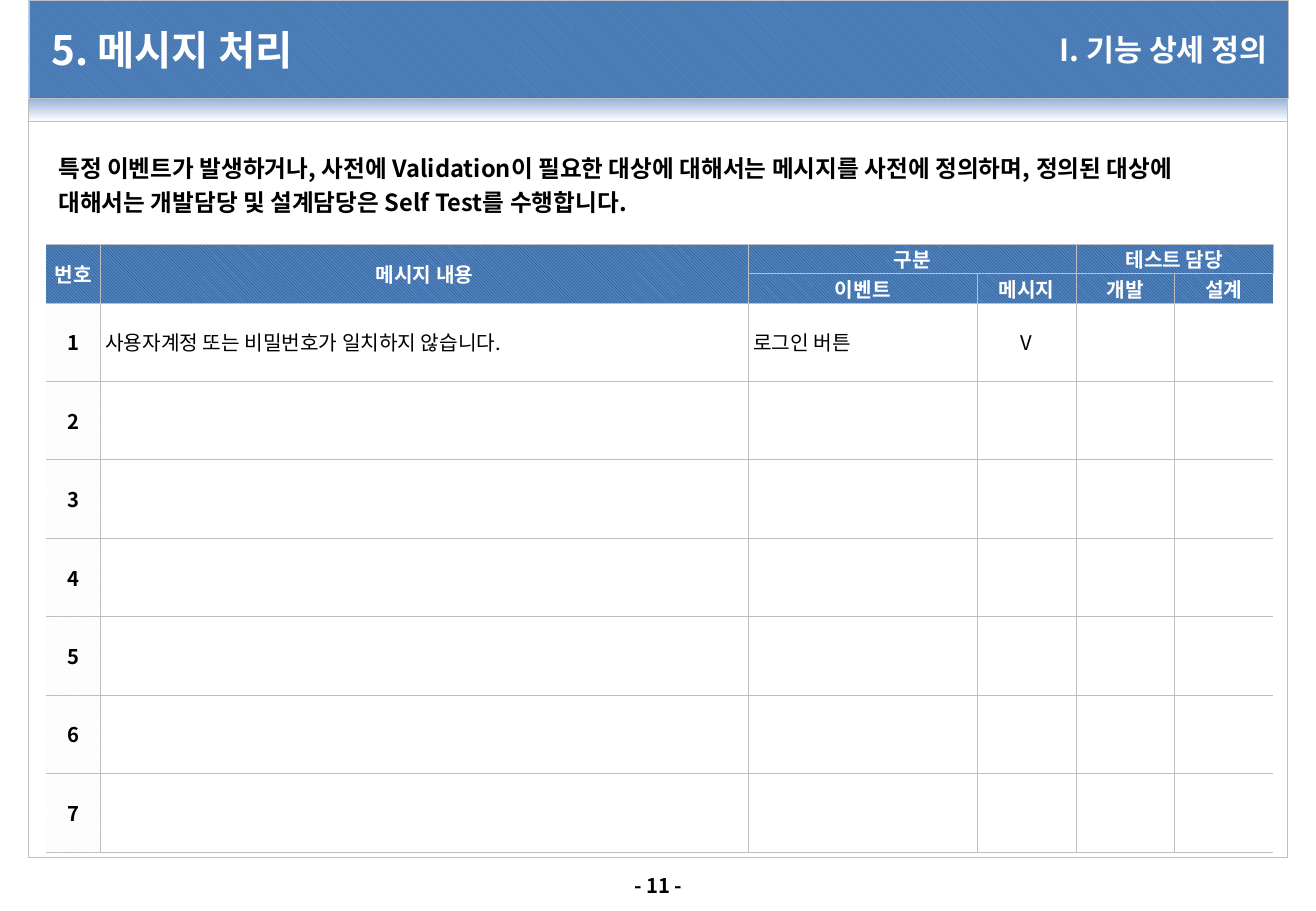
from dataclasses import dataclass
from lxml import etree
from pptx import Presentation
from pptx.dml.color import RGBColor
from pptx.enum.dml import MSO_LINE, MSO_PATTERN
from pptx.enum.shapes import MSO_SHAPE
from pptx.enum.text import MSO_ANCHOR, PP_ALIGN
from pptx.oxml.ns import qn
from pptx.util import Cm, Pt


@dataclass(frozen=True)
class Theme:
    font: str = "Noto Sans CJK KR"
    white: str = "FFFFFF"
    black: str = "000000"
    grid: str = "BFBFBF"
    glow: str = "95B3D7"
    banner: tuple = ("376092", "4F81BD")
    header: tuple = ("1F497D", "4F81BD")
    number: tuple = ("F2F2F2", "FFFFFF")
    title_size: int = 24
    section_size: int = 18
    lead_size: int = 14
    table_size: int = 12
    hairline: float = 0.25


THEME = Theme()
TITLE = "5. 메시지 처리"
SECTION = "I. 기능 상세 정의"
LEAD = ("특정 이벤트가 발생하거나, 사전에 Validation이 필요한 대상에 대해서는 메시지를 사전에 정의하며, "
        "정의된 대상에 대해서는 개발담당 및 설계담당은 Self Test를 수행합니다.")
PAGE = "- 11 -"
HEADERS = [
    ["번호", "메시지 내용", "구분", "", "테스트 담당", ""],
    ["", "", "이벤트", "메시지", "개발", "설계"],
]
MERGES = [((0, 0), (1, 0)), ((0, 1), (1, 1)), ((0, 2), (0, 3)), ((0, 4), (0, 5))]
MESSAGES = [("사용자계정 또는 비밀번호가 일치하지 않습니다.", "로그인 버튼", "V", "", "")]
MESSAGE_ROWS = 7
COLUMN_WIDTHS = [1.13, 13.55, 4.78, 2.06, 2.06, 2.06]
HEADER_HEIGHT, MESSAGE_HEIGHT = 0.61, 1.64
LEFT_ALIGNED = (1, 2)

FRAME_LEFT, FRAME_WIDTH = 0.6, 26.32
BANNER_HEIGHT, GLOW_HEIGHT, BODY_HEIGHT = 2.06, 0.48, 15.38
CONTENT_LEFT, CONTENT_WIDTH = 0.97, 25.63
HEADING_TOP, HEADING_HEIGHT, TITLE_WIDTH = 0.2, 1.68, 17
LEAD_TOP, TABLE_TOP = 2.95, 5.11
INSET = 0.1


def color(value):
    return RGBColor.from_string(value)


def paint(fill, value):
    if isinstance(value, tuple):
        fill.patterned()
        fill.pattern = MSO_PATTERN.LIGHT_DOWNWARD_DIAGONAL
        fill.fore_color.rgb, fill.back_color.rgb = map(color, value)
    else:
        fill.solid()
        fill.fore_color.rgb = color(value)


def write(frame, text, size, ink, bold=True, align=PP_ALIGN.LEFT):
    paragraph = frame.paragraphs[0]
    paragraph.alignment = align
    run = paragraph.add_run()
    run.text = text
    font = run.font
    font.name, font.size, font.bold = THEME.font, Pt(size), bold
    font.color.rgb = color(ink)
    latin = run.font.fill and run._r.rPr.find(qn("a:latin"))
    east_asian = etree.Element(qn("a:ea"), typeface=THEME.font)
    latin.addnext(east_asian)
    return paragraph


def place(shape, left, top, width, height):
    shape.left, shape.top, shape.width, shape.height = map(Cm, (left, top, width, height))


def panel(top, height, fill):
    shape = slide.shapes.add_shape(
        MSO_SHAPE.RECTANGLE, Cm(FRAME_LEFT), Cm(top), Cm(FRAME_WIDTH), Cm(height))
    shape.shadow.inherit = False
    paint(shape.fill, fill)
    shape.line.color.rgb = color(THEME.grid)
    shape.line.width = Pt(THEME.hairline)
    shape.line.dash_style = MSO_LINE.ROUND_DOT
    return shape


def text_box(left, top, width, height):
    box = slide.shapes.add_textbox(Cm(left), Cm(top), Cm(width), Cm(height))
    box.text_frame.word_wrap = True
    return box


def heading(shape, text, size, align):
    frame = shape.text_frame
    frame.word_wrap = True
    frame.vertical_anchor = MSO_ANCHOR.MIDDLE
    frame.margin_left = frame.margin_right = frame.margin_top = frame.margin_bottom = Cm(INSET)
    write(frame, text, size, THEME.white, align=align)


def outline(cell, sides):
    properties = cell._tc.get_or_add_tcPr()
    for position, side in enumerate("LRTB"):
        visible = side in sides
        line = etree.Element(qn(f"a:ln{side}"), w=str(Pt(THEME.hairline) if visible else 0))
        if visible:
            fill = etree.SubElement(line, qn("a:solidFill"))
            etree.SubElement(fill, qn("a:srgbClr"), val=THEME.grid)
        else:
            etree.SubElement(line, qn("a:noFill"))
        properties.insert(position, line)


def fill_cell(cell, row, column, text):
    is_header, is_number = row < len(HEADERS), column == 0
    cell.margin_left = cell.margin_right = Cm(INSET)
    cell.margin_top = cell.margin_bottom = 0
    cell.vertical_anchor = MSO_ANCHOR.MIDDLE
    left_aligned = not is_header and column in LEFT_ALIGNED
    write(cell.text_frame, text, THEME.table_size,
          THEME.white if is_header else THEME.black,
          bold=is_header or is_number,
          align=PP_ALIGN.LEFT if left_aligned else PP_ALIGN.CENTER)
    paint(cell.fill, THEME.header if is_header else THEME.number if is_number else THEME.white)
    last = column == len(COLUMN_WIDTHS) - 1
    outline(cell, "TB" + ("" if is_number else "L") + ("" if last else "R"))


def message_table():
    blank = ("",) * (len(COLUMN_WIDTHS) - 1)
    messages = MESSAGES + [blank] * (MESSAGE_ROWS - len(MESSAGES))
    rows = HEADERS + [[str(n), *message] for n, message in enumerate(messages, 1)]
    heights = [HEADER_HEIGHT] * len(HEADERS) + [MESSAGE_HEIGHT] * MESSAGE_ROWS
    table = slide.shapes.add_table(
        len(rows), len(COLUMN_WIDTHS), Cm(CONTENT_LEFT), Cm(TABLE_TOP),
        Cm(sum(COLUMN_WIDTHS)), Cm(sum(heights))).table
    table.first_row = table.horz_banding = False
    for column, width in zip(table.columns, COLUMN_WIDTHS):
        column.width = Cm(width)
    for r, (texts, height) in enumerate(zip(rows, heights)):
        table.rows[r].height = Cm(height)
        for c, text in enumerate(texts):
            fill_cell(table.cell(r, c), r, c, text)
    for start, end in MERGES:
        table.cell(*start).merge(table.cell(*end))


presentation = Presentation()
presentation.slide_width, presentation.slide_height = Cm(27.51), Cm(19.05)
slide = presentation.slides.add_slide(presentation.slide_layouts[5])

glow = panel(BANNER_HEIGHT, GLOW_HEIGHT, THEME.white)
glow.fill.gradient()
glow.fill.gradient_angle = 270
for stop, value in zip(glow.fill.gradient_stops, (THEME.glow, THEME.white)):
    stop.color.rgb = color(value)
glow_stops = glow.fill.gradient_stops
glow_stops[0].position, glow_stops[1].position = 0, 1
panel(BANNER_HEIGHT + GLOW_HEIGHT, BODY_HEIGHT, THEME.white)
banner = panel(0, BANNER_HEIGHT, THEME.banner)
banner.rotation = 180

title = slide.shapes.title
banner.element.addnext(title.element)
place(title, CONTENT_LEFT, HEADING_TOP, TITLE_WIDTH, HEADING_HEIGHT)
heading(title, TITLE, THEME.title_size, PP_ALIGN.LEFT)
section = text_box(CONTENT_LEFT + TITLE_WIDTH, HEADING_TOP,
                   CONTENT_WIDTH - TITLE_WIDTH, HEADING_HEIGHT)
heading(section, SECTION, THEME.section_size, PP_ALIGN.RIGHT)

lead = text_box(CONTENT_LEFT, LEAD_TOP, CONTENT_WIDTH, TABLE_TOP - LEAD_TOP)
write(lead.text_frame, LEAD, THEME.lead_size, THEME.black).line_spacing = 1.23
message_table()
page = text_box(FRAME_LEFT, 18.13, FRAME_WIDTH, 0.77)
write(page.text_frame, PAGE, THEME.table_size, THEME.black, align=PP_ALIGN.CENTER)

presentation.save("out.pptx")
